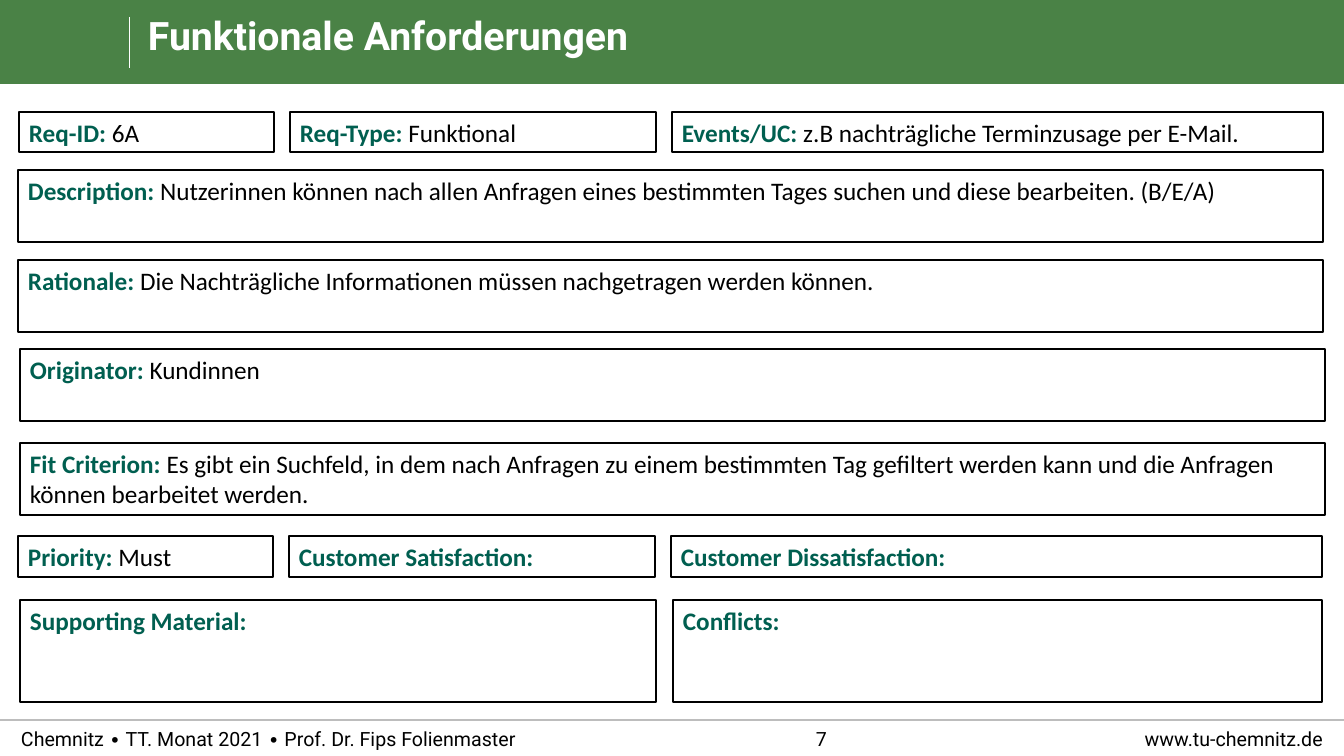
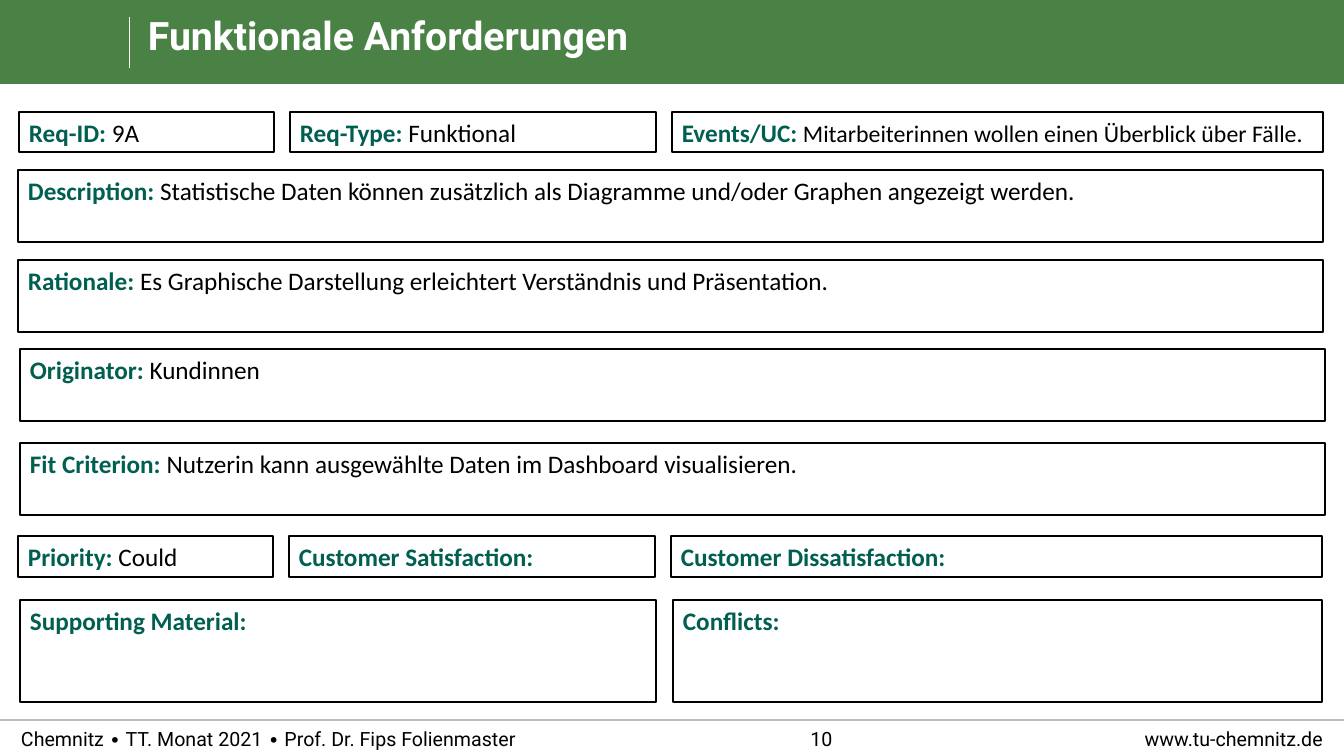
"""Build two requirement cards on a shared green-banded layout."""
from lxml.etree import SubElement
from pptx import Presentation
from pptx.dml.color import RGBColor
from pptx.enum.shapes import MSO_CONNECTOR, MSO_SHAPE
from pptx.enum.text import MSO_ANCHOR, PP_ALIGN
from pptx.oxml.ns import qn
from pptx.util import Emu, Pt

PX = 914400 / 100.8
GREEN, TEAL, BLACK, WHITE = "4A8246", "005F50", "000000", "FFFFFF"
WIDE, HIGH = 1344, 756
FOOT = 720

GRID = [
    (112, 40, [("Req-ID:", 19, 255), ("Req-Type:", 290, 366), ("Events/UC:", 672, 651)]),
    (170, 72, [("Description:", 18, 1305)]),
    (260, 72, [("Rationale:", 18, 1305)]),
    (349, 72, [("Originator:", 20, 1305)]),
    (443, 72, [("Fit Criterion:", 20, 1305)]),
    (536, 41, [("Priority:", 18, 255), ("Customer Satisfaction:", 289, 366),
               ("Customer Dissatisfaction:", 671, 651)]),
    (600, 102, [("Supporting Material:", 20, 636), ("Conflicts:", 673, 649)]),
]

CARDS = [
    ("7", 18, {
        "Req-ID:": "6A",
        "Req-Type:": "Funktional",
        "Events/UC:": "z.B nachträgliche Terminzusage per E-Mail.",
        "Description:": "Nutzerinnen können nach allen Anfragen eines bestimmten Tages "
                        "suchen und diese bearbeiten. (B/E/A)",
        "Rationale:": "Die Nachträgliche Informationen müssen nachgetragen werden können.",
        "Originator:": "Kundinnen",
        "Fit Criterion:": "Es gibt ein Suchfeld, in dem nach Anfragen zu einem bestimmten Tag "
                          "gefiltert werden kann und die Anfragen können bearbeitet werden.",
        "Priority:": "Must",
    }),
    ("10", 17, {
        "Req-ID:": "9A",
        "Req-Type:": "Funktional",
        "Events/UC:": "Mitarbeiterinnen wollen einen Überblick über Fälle.",
        "Description:": "Statistische Daten können zusätzlich als Diagramme und/oder Graphen "
                        "angezeigt werden.",
        "Rationale:": "Es Graphische Darstellung erleichtert Verständnis und Präsentation.",
        "Originator:": "Kundinnen",
        "Fit Criterion:": "Nutzerin kann ausgewählte Daten im Dashboard visualisieren.",
        "Priority:": "Could",
    }),
]


def box(*sizes):
    return [Emu(round(size * PX)) for size in sizes]


def style(font, name, size, tone, bold=False):
    font.name, font.size, font.bold = name, Pt(size), bold
    font.color.rgb = RGBColor.from_string(tone)


deck = Presentation()
deck.slide_width, deck.slide_height = box(WIDE, HIGH)
layout = deck.slide_layouts[5]
for holder in list(layout.placeholders)[1:]:
    holder.element.getparent().remove(holder.element)
pages = [deck.slides.add_slide(layout) for card in CARDS]

shapes = pages[0].shapes
band = shapes.add_shape(MSO_SHAPE.RECTANGLE, *box(0, 0, WIDE, 84))
band.shadow.inherit = False
band.fill.solid()
band.fill.fore_color.rgb = RGBColor.from_string(GREEN)
band.line.fill.background()
for ends, tone, width, alpha in [
    ((129, 17, 129, 68), WHITE, 0.5, 100),
    ((0, FOOT, WIDE, FOOT), BLACK, 1, 40),
]:
    rule = shapes.add_connector(MSO_CONNECTOR.STRAIGHT, *box(*ends))
    rule.line.color.rgb = RGBColor.from_string(tone)
    rule.line.width = Pt(width)
    ink = rule.element.xpath(".//a:srgbClr")[0]
    SubElement(ink, qn("a:alpha")).set("val", str(alpha * 1000))
    SubElement(rule.element.spPr, qn("a:effectLst"))
for item in list(shapes)[1:]:
    layout.shapes.element.append(item.element)

for page, (number, size, facts) in zip(pages, CARDS):
    title = page.shapes.title
    title.left, title.top, title.width, title.height = box(148, 17, 1174, 51)
    title.text = "Funktionale Anforderungen"
    head = title.text_frame.paragraphs[0]
    head.alignment = PP_ALIGN.LEFT
    head.line_spacing = 0.9
    style(head.font, "Roboto", 28, WHITE, True)
    frames = [(title.text_frame, MSO_ANCHOR.TOP)]

    for text, left, width, align in [
        ("www.tu-chemnitz.de", 910, 413, PP_ALIGN.RIGHT),
        (number, 513, 617, PP_ALIGN.CENTER),
        ("Chemnitz ∙ TT. Monat 2021 ∙ Prof. Dr. Fips Folienmaster", 21, 635, PP_ALIGN.LEFT),
    ]:
        frame = page.shapes.add_textbox(*box(left, FOOT, width, 37)).text_frame
        frame.text = text
        line = frame.paragraphs[0]
        line.alignment = align
        style(line.font, "Roboto", 14, BLACK)
        frames.append((frame, MSO_ANCHOR.MIDDLE))

    for frame, anchor in frames:
        frame.word_wrap = True
        frame.vertical_anchor = anchor
        frame.margin_left = frame.margin_right = frame.margin_top = frame.margin_bottom = 0

    for top, height, cells in GRID:
        for label, left, width in cells:
            cell = page.shapes.add_shape(MSO_SHAPE.RECTANGLE, *box(left, top, width, height))
            cell.shadow.inherit = False
            cell.fill.solid()
            cell.fill.fore_color.rgb = RGBColor.from_string(WHITE)
            cell.line.color.rgb = RGBColor.from_string(BLACK)
            cell.line.width = Pt(1)
            frame = cell.text_frame
            frame.word_wrap = True
            frame.vertical_anchor = MSO_ANCHOR.TOP
            line = frame.paragraphs[0]
            line.alignment = PP_ALIGN.LEFT
            run = line.add_run()
            run.text = label
            style(run.font, "Calibri", 18, TEAL, True)
            if label in facts:
                run = line.add_run()
                run.text = " " + facts[label]
                style(run.font, "Calibri", size if label == "Events/UC:" else 18, BLACK)

deck.save("out.pptx")
